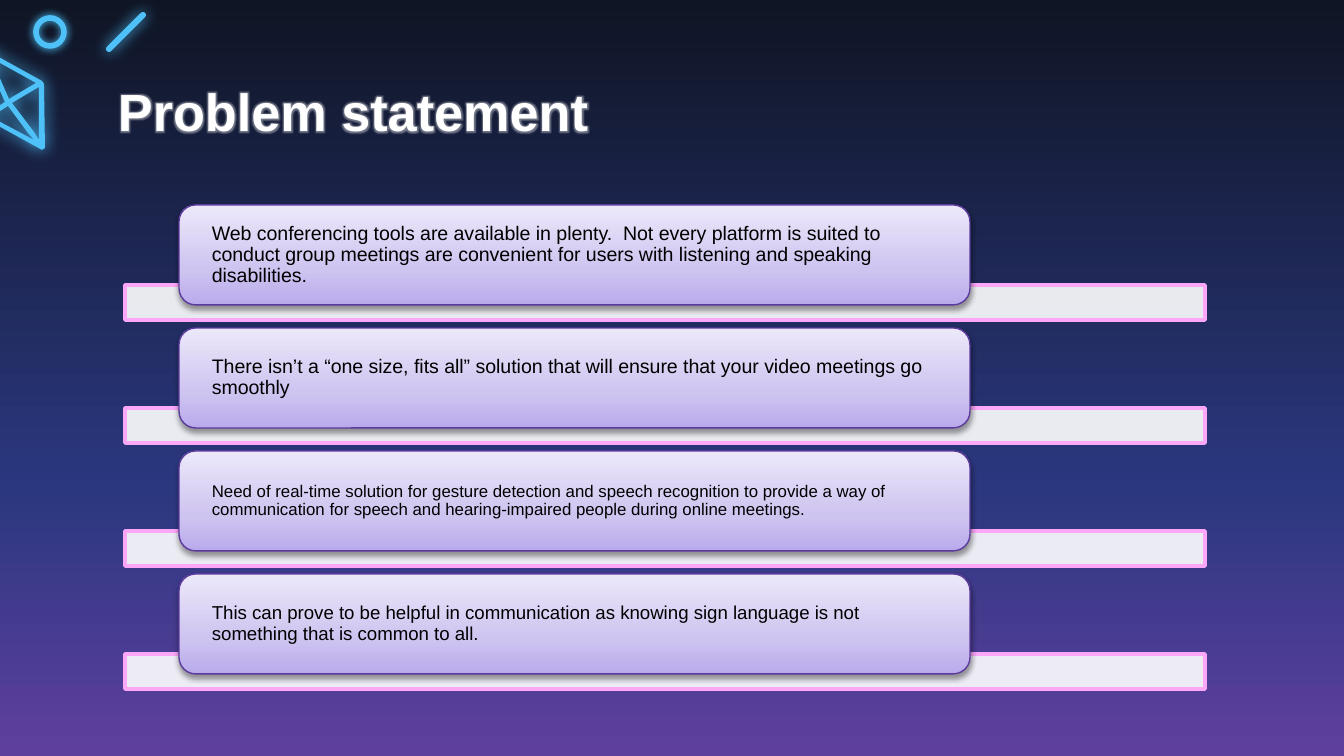
from pptx import Presentation, util as u
from pptx.dml.color import RGBColor
from pptx.enum import shapes, text
from pptx.oxml import parse_xml
from pptx.oxml.ns import nsdecls, qn

# Content
TITLE = "Problem statement"
CARDS = [  # wording, text size
    ("Web conferencing tools are available in plenty.  Not every platform is suited to "
     "conduct group meetings are convenient for users with listening and speaking "
     "disabilities.", 10.5),
    ("There isn’t a “one size, fits all” solution that will ensure that your video "
     "meetings go smoothly", 10.5),
    ("Need of real-time solution for gesture detection and speech recognition to provide "
     "a way of communication for speech and hearing-impaired people during online "
     "meetings.", 9),
    ("This can prove to be helpful in communication as knowing sign language is not "
     "something that is common to all.", 10),
]

# Look
NEON, WHITE, BLACK = "4FC1F9", "FFFFFF", "000000"
PINK, PURPLE = "FDA7F9", "5C3B9D"
SKY = [(0, "0F1524"), (65, "2B3880"), (100, "5F3F9E")]
LILAC = [(0, "B9AAEC"), (35, "CEC4F0"), (100, "ECE8FA")]

# Layout in px
PX = 914400 / 134.4
FIRST_TOP, PITCH = 205, 123
CARD_X, CARD_W, CARD_H = 179, 791, 100
BAR_X, BAR_W, BAR_H, BAR_DROP = 125, 1080, 35, 80
GEM = [  # outer edge, then the four facets cut out of it
    [(-17, 52), (-14, 50), (42, 81), (44, 84), (45, 148), (42, 150), (-16, 118)],
    [(-9, 58), (36, 83), (9, 99), (-5, 67)],
    [(-12, 63), (-8, 73), (5, 102), (-12, 113)],
    [(8, 106), (28, 133), (34, 140), (-9, 117)],
    [(39, 87), (39, 140), (34, 132), (12, 103)],
]


def px(n):
    return round(n * PX)


def rgb(color):
    return RGBColor.from_string(color)


def put(obj, **values):
    for name, value in values.items():
        setattr(obj, name, value)


def gradient(fill, owner, stops, angle):
    fill.gradient()
    fill.gradient_angle = angle
    gs_list = next(owner.iter(qn("a:gsLst")))
    for gs in list(gs_list):
        gs_list.remove(gs)
    for pos, color in stops:
        gs_list.append(parse_xml(
            f'<a:gs {nsdecls("a")} pos="{pos * 1000}"><a:srgbClr val="{color}"/></a:gs>'))


def shadow(sp, color, alpha, blur, dist=0):
    effects = sp.element.spPr.find(qn("a:effectLst"))
    effects.append(parse_xml(
        f'<a:outerShdw {nsdecls("a")} blurRad="{u.Pt(blur)}" dist="{u.Pt(dist)}" '
        f'dir="5400000" algn="ctr" rotWithShape="0"><a:srgbClr val="{color}">'
        f'<a:alpha val="{alpha * 1000}"/></a:srgbClr></a:outerShdw>'))


def style(sp, fill=None, line=None, width=0):
    sp.shadow.inherit = False
    if fill:
        sp.fill.solid()
        sp.fill.fore_color.rgb = rgb(fill)
    else:
        sp.fill.background()
    if line:
        sp.line.color.rgb = rgb(line)
        sp.line.width = u.Pt(width)
    else:
        sp.line.fill.background()
    return sp


def shape(s, kind, box):
    return s.shapes.add_shape(kind, *map(px, box))


def write(sp, words, size, color, inset_x, inset_y, anchor, bold=False):
    tf = sp.text_frame
    put(tf, word_wrap=True, vertical_anchor=anchor,
        margin_left=px(inset_x), margin_right=px(inset_x),
        margin_top=px(inset_y), margin_bottom=px(inset_y))
    p = tf.paragraphs[0]
    p.alignment = text.PP_ALIGN.LEFT
    r = p.add_run()
    r.text = words
    put(r.font, name="Arial", size=u.Pt(size), bold=bold)
    r.font.color.rgb = rgb(color)
    return p, r


def decorate(s):
    # Gem
    fb = s.shapes.build_freeform(*GEM[0][0], scale=PX)
    for i, points in enumerate(GEM):
        if i:
            fb.move_to(*points[0])
        fb.add_line_segments(points[1:], close=True)
    shadow(style(fb.convert_to_shape(), NEON), NEON, 100, 9)
    # Ring
    ring = shape(s, shapes.MSO_SHAPE.OVAL, (36, 18, 28, 28))
    shadow(style(ring, None, NEON, 3), NEON, 100, 4.5)
    # Slash
    slash = shape(s, shapes.MSO_SHAPE.ROUNDED_RECTANGLE, (123, 5, 6, 54))
    slash.adjustments[0] = 0.5
    slash.rotation = 45
    shadow(style(slash, NEON), NEON, 100, 7.9)


def add_title(s):
    box = s.shapes.add_textbox(*map(px, (105, 66, 1134, 85)))
    p, r = write(box, TITLE, 28, WHITE, 13, 13, text.MSO_ANCHOR.TOP, bold=True)
    r.font.fill.solid()
    r.font.color.rgb = rgb(WHITE)
    next(r.font.fill._xPr.iter(qn("a:solidFill"))).addnext(parse_xml(
        f'<a:effectLst {nsdecls("a")}><a:glow rad="{u.Pt(5)}"><a:srgbClr val="{WHITE}">'
        '<a:alpha val="40000"/></a:srgbClr></a:glow></a:effectLst>'))


def add_card(s, top, words, size):
    # Bar behind
    bar = style(shape(s, shapes.MSO_SHAPE.RECTANGLE, (BAR_X, top + BAR_DROP, BAR_W, BAR_H)),
                WHITE, PINK, 2)
    next(bar.element.spPr.iter(qn("a:srgbClr"))).append(
        parse_xml(f'<a:alpha {nsdecls("a")} val="90000"/>'))
    # Card with its text
    card = style(shape(s, shapes.MSO_SHAPE.ROUNDED_RECTANGLE, (CARD_X, top, CARD_W, CARD_H)),
                 None, PURPLE, 0.75)
    gradient(card.fill, card.element, LILAC, 90)
    shadow(card, BLACK, 38, 3.1, 1.6)
    p, r = write(card, words, size, BLACK, 28, 0, text.MSO_ANCHOR.MIDDLE)
    p.line_spacing = 0.9


def main():
    prs = Presentation()
    put(prs, slide_width=px(1344), slide_height=px(756))
    s = prs.slides.add_slide(prs.slide_layouts[6])
    gradient(s.background.fill, s.element, SKY, 270)
    decorate(s)
    add_title(s)
    for i, (words, size) in enumerate(CARDS):
        add_card(s, FIRST_TOP + i * PITCH, words, size)
    prs.save("out.pptx")


if __name__ == "__main__":
    main()
